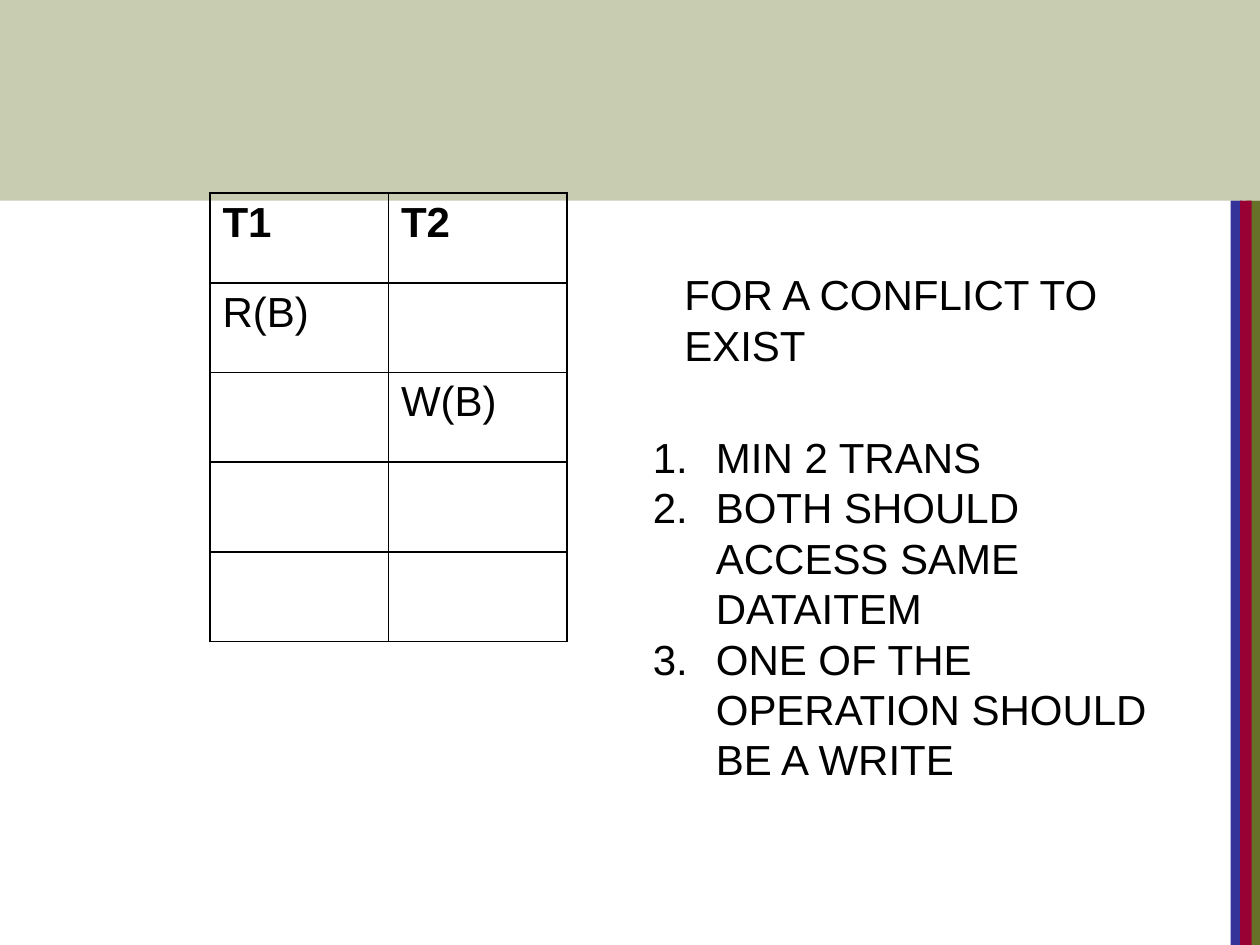
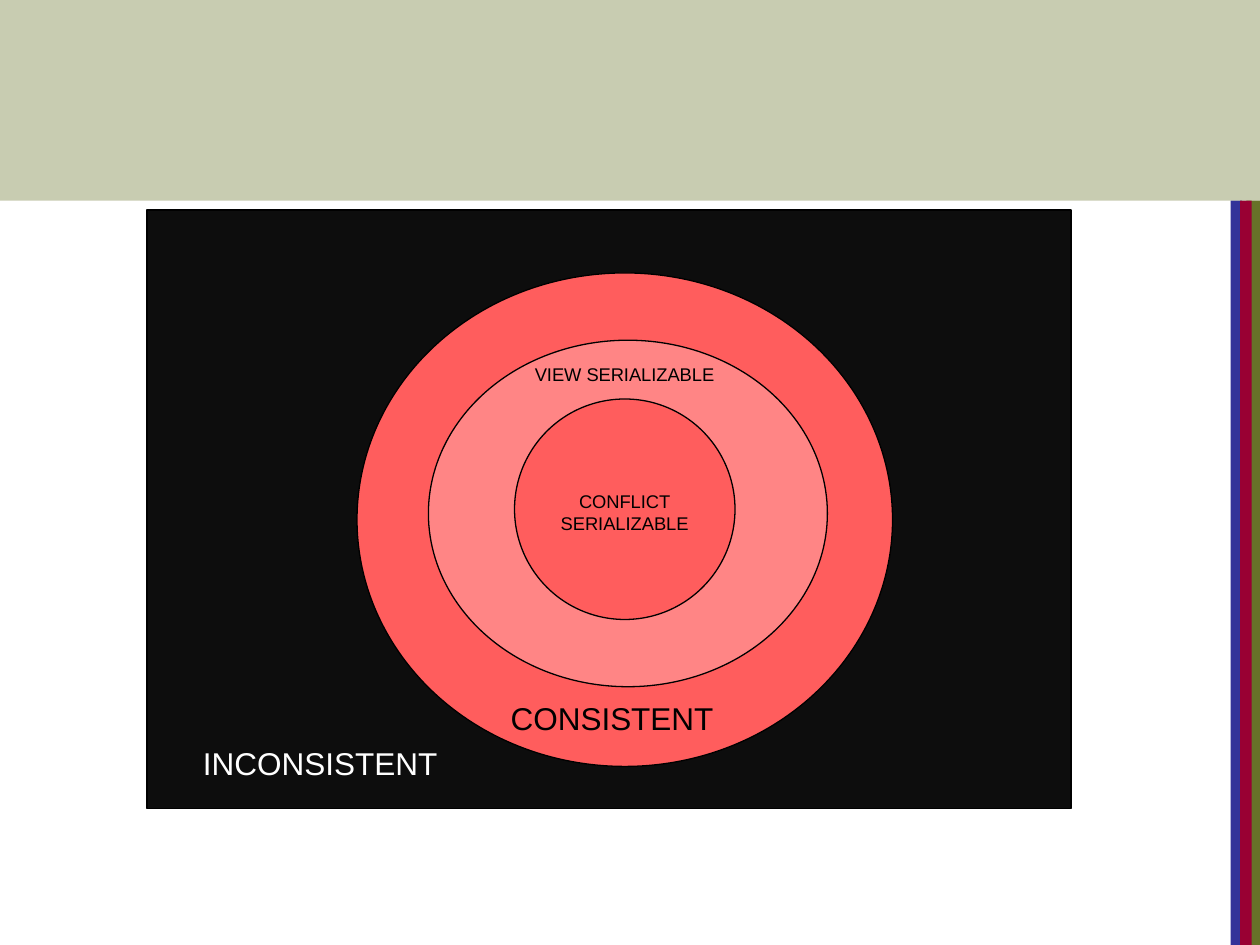
from lxml import etree
from pptx import Presentation
from pptx.dml.color import RGBColor
from pptx.enum.shapes import MSO_SHAPE
from pptx.enum.text import PP_ALIGN
from pptx.oxml.ns import qn
from pptx.util import Inches, Pt

RECT, OVAL = MSO_SHAPE.RECTANGLE, MSO_SHAPE.OVAL
LEFT, CENTER = PP_ALIGN.LEFT, PP_ALIGN.CENTER
FONT = "Arial"
COLS, ROWS = 120, 90
CELL = Inches(10) / COLS
BAND_H = 19.1
OLIVE, BLUE, CRIMSON = "677228", "333399", "990033"
BLACK, WHITE, NIGHT = "000000", "FFFFFF", "0D0D0D"
CORAL, PINK = "FF5D5D", "FF8585"


def rgb(value):
    return RGBColor.from_string(value)


def grid(n):
    return round(n * CELL)


def place(box, x, y, w, h):
    return [grid(n) for n in (box[0] + x, box[1] + y, w, h)]


def set_fill(fill, color, alpha=None):
    fill.solid()
    fill.fore_color.rgb = rgb(color)
    if alpha is not None:
        clr = fill._xPr.find(qn("a:solidFill"))[0]
        etree.SubElement(clr, qn("a:alpha"), val=str(alpha * 1000))


def add_shape(slide, kind, at, color, alpha=None, line=None):
    sp = slide.shapes.add_shape(kind, *at)
    sp.shadow.inherit = False
    set_fill(sp.fill, color, alpha)
    if line:
        sp.line.color.rgb = rgb(line)
        sp.line.width = Pt(0.75)
    else:
        sp.line.fill.background()


def write(tf, text, size=24, color=BLACK, bold=False, align=LEFT, numbered=False):
    tf.word_wrap = True
    for i, line in enumerate(text.split("\n")):
        p = tf.add_paragraph() if i else tf.paragraphs[0]
        p.alignment = align
        if numbered:
            pPr = p._p.get_or_add_pPr()
            pPr.set("marL", str(Inches(0.5)))
            pPr.set("indent", str(-Inches(0.5)))
            etree.SubElement(pPr, qn("a:buFont"), typeface="+mj-lt")
            etree.SubElement(pPr, qn("a:buAutoNum"), type="arabicPeriod")
        r = p.add_run()
        r.text = line
        r.font.name = FONT
        r.font.size = Pt(size)
        r.font.bold = bold
        r.font.color.rgb = rgb(color)


def add_text(slide, at, text, **fmt):
    write(slide.shapes.add_textbox(*at).text_frame, text, **fmt)


def set_borders(cell):
    tcPr = cell._tc.get_or_add_tcPr()
    for side in ("lnL", "lnR", "lnT", "lnB"):
        ln = etree.SubElement(tcPr, qn("a:" + side), w=str(Pt(1)))
        solid = etree.SubElement(ln, qn("a:solidFill"))
        etree.SubElement(solid, qn("a:srgbClr"), val=BLACK)


def add_frame(slide):
    page = (0, 0, COLS, ROWS)
    for x, w, color in ((118.7, 1.3, OLIVE), (117.2, 1.1, BLUE), (118.1, 1.1, CRIMSON)):
        add_shape(slide, RECT, place(page, x, BAND_H, w, ROWS - BAND_H), color)
    add_shape(slide, RECT, place(page, 0, 0, COLS, BAND_H), OLIVE, alpha=36)


def add_schedule(slide, box, rows):
    at = place(box, 0, 0, *box[2:])
    table = slide.shapes.add_table(len(rows), len(rows[0]), *at).table
    table.first_row = table.horz_banding = False
    for i, row in enumerate(rows):
        for j, text in enumerate(row):
            cell = table.cell(i, j)
            set_borders(cell)
            if i % 2:
                set_fill(cell.fill, WHITE, 20)
            else:
                cell.fill.background()
            if text:
                write(cell.text_frame, text, bold=i == 0)


def add_conditions(slide, box):
    add_text(slide, place(box, 3, 0, 47, 10.9), "FOR A CONFLICT TO EXIST")
    rules = "MIN 2 TRANS\nBOTH SHOULD ACCESS SAME DATAITEM\nONE OF THE OPERATION SHOULD BE A WRITE"
    add_text(slide, place(box, 0, 15.5, 54, 35.2), rules, numbered=True)


def add_nested_sets(slide, box):
    add_shape(slide, RECT, place(box, 0, 0, *box[2:]), NIGHT, line=BLACK)
    ovals = ((20, 6, 51, 47, CORAL), (26.8, 12.4, 38, 33, PINK), (35, 18, 21, 21, CORAL))
    for *at, color in ovals:
        add_shape(slide, OVAL, place(box, *at), color, line=BLACK)
    labels = (
        (-4, 50.3, 4.8, "INCONSISTENT", 18, WHITE),
        (23.8, 46, 4.8, "CONSISTENT", 18, BLACK),
        (25, 14, 3.4, "VIEW SERIALIZABLE", 10.5, BLACK),
        (25, 26.1, 5.4, "CONFLICT\nSERIALIZABLE", 10.5, BLACK),
    )
    for x, y, h, text, size, color in labels:
        add_text(slide, place(box, x, y, 41, h), text, size=size, color=color, align=CENTER)


def new_slide(prs):
    slide = prs.slides.add_slide(prs.slide_layouts[6])
    add_frame(slide)
    return slide


def main():
    prs = Presentation()
    prs.slide_width, prs.slide_height = grid(COLS), grid(ROWS)

    slide = new_slide(prs)
    schedule = (("T1", "T2"), ("R(B)", ""), ("", "W(B)"), ("", ""), ("", ""))
    add_schedule(slide, (20, 18.4, 34, 42.7), schedule)
    add_conditions(slide, (61, 25, 54, 50.7))

    slide = new_slide(prs)
    add_nested_sets(slide, (14, 20, 88, 57))

    prs.save("out.pptx")


if __name__ == "__main__":
    main()
